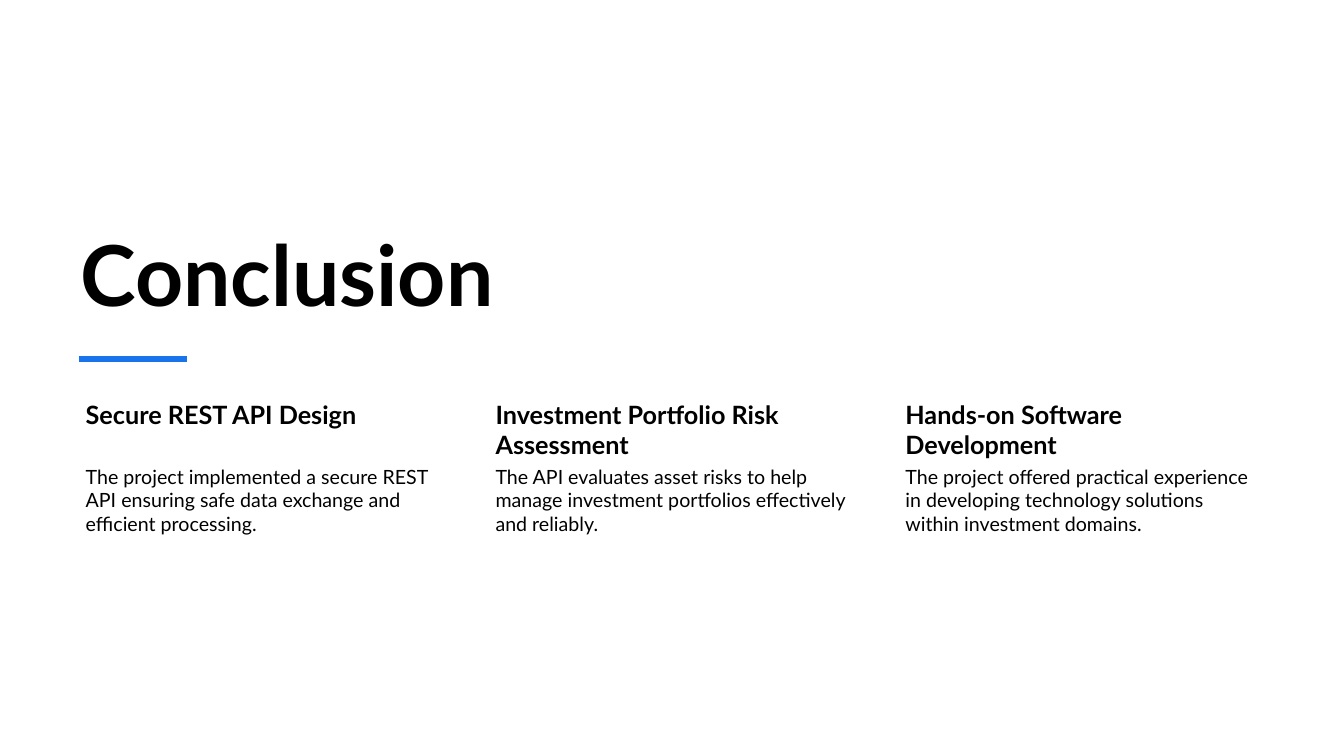
from lxml.etree import SubElement
from pptx import Presentation
from pptx.dml.color import RGBColor
from pptx.enum.shapes import MSO_CONNECTOR
from pptx.enum.text import MSO_ANCHOR
from pptx.oxml.ns import qn
from pptx.util import Inches, Pt

COLORS = {"text": "000000", "accent": "1973EB", "background": "FFFFFF"}
FONT = "Lato"
TAKEAWAYS = [
    ("Secure REST API Design",
     "The project implemented a secure REST API ensuring safe data exchange and efficient processing."),
    ("Investment Portfolio Risk Assessment",
     "The API evaluates asset risks to help manage investment portfolios effectively and reliably."),
    ("Hands-on Software Development",
     "The project offered practical experience in developing technology solutions within investment domains."),
]
COLUMN_LEFT, COLUMN_STEP, COLUMN_WIDTH = 0.7, 4.065, 3.69


def add_text(page, text, left, top, width, height, size, bold=False,
             anchor=MSO_ANCHOR.TOP, insets=(0.1, 0.05, 0.1, 0.05)):
    """Add a wrapped text box; insets run left, top, right, bottom."""
    box = page.shapes.add_textbox(Inches(left), Inches(top), Inches(width), Inches(height))
    frame = box.text_frame
    frame.word_wrap = True
    frame.vertical_anchor = anchor
    frame.margin_left, frame.margin_top, frame.margin_right, frame.margin_bottom = map(Inches, insets)
    para = frame.paragraphs[0]
    span = para.add_run()
    span.text = text
    span.font.name = FONT
    span.font.size = Pt(size)
    span.font.bold = bold
    span.font.color.rgb = RGBColor.from_string(COLORS["text"])


def add_rule(page, left, right, top, weight):
    """Add a horizontal accent line without a shadow."""
    rule = page.shapes.add_connector(
        MSO_CONNECTOR.STRAIGHT, Inches(left), Inches(top), Inches(right), Inches(top))
    rule.line.color.rgb = RGBColor.from_string(COLORS["accent"])
    rule.line.width = Pt(weight)
    SubElement(rule.element.spPr, qn("a:effectLst"))


def add_takeaway(page, left, heading, body):
    """Add one column with a bold heading above its body text."""
    add_text(page, heading, left, 3.93, COLUMN_WIDTH, 0.66, size=18, bold=True,
             insets=(0.15, 0.03, 0.03, 0.03))
    add_text(page, body, left, 4.59, COLUMN_WIDTH, 2.07, size=14,
             insets=(0.15, 0.02, 0.02, 0.02))


def main():
    """Build the conclusion slide and save it."""
    deck = Presentation()
    deck.slide_width, deck.slide_height = Inches(13.33), Inches(7.5)
    page = deck.slides.add_slide(deck.slide_layouts[6])
    page.background.fill.solid()
    page.background.fill.fore_color.rgb = RGBColor.from_string(COLORS["background"])
    add_text(page, "Conclusion", 0.7, 1.72, 8.93, 1.54, size=60, bold=True,
             anchor=MSO_ANCHOR.BOTTOM)
    for index, (heading, body) in enumerate(TAKEAWAYS):
        add_takeaway(page, COLUMN_LEFT + index * COLUMN_STEP, heading, body)
    add_rule(page, 0.78, 1.85, 3.56, weight=4.5)
    deck.save("out.pptx")


if __name__ == "__main__":
    main()
